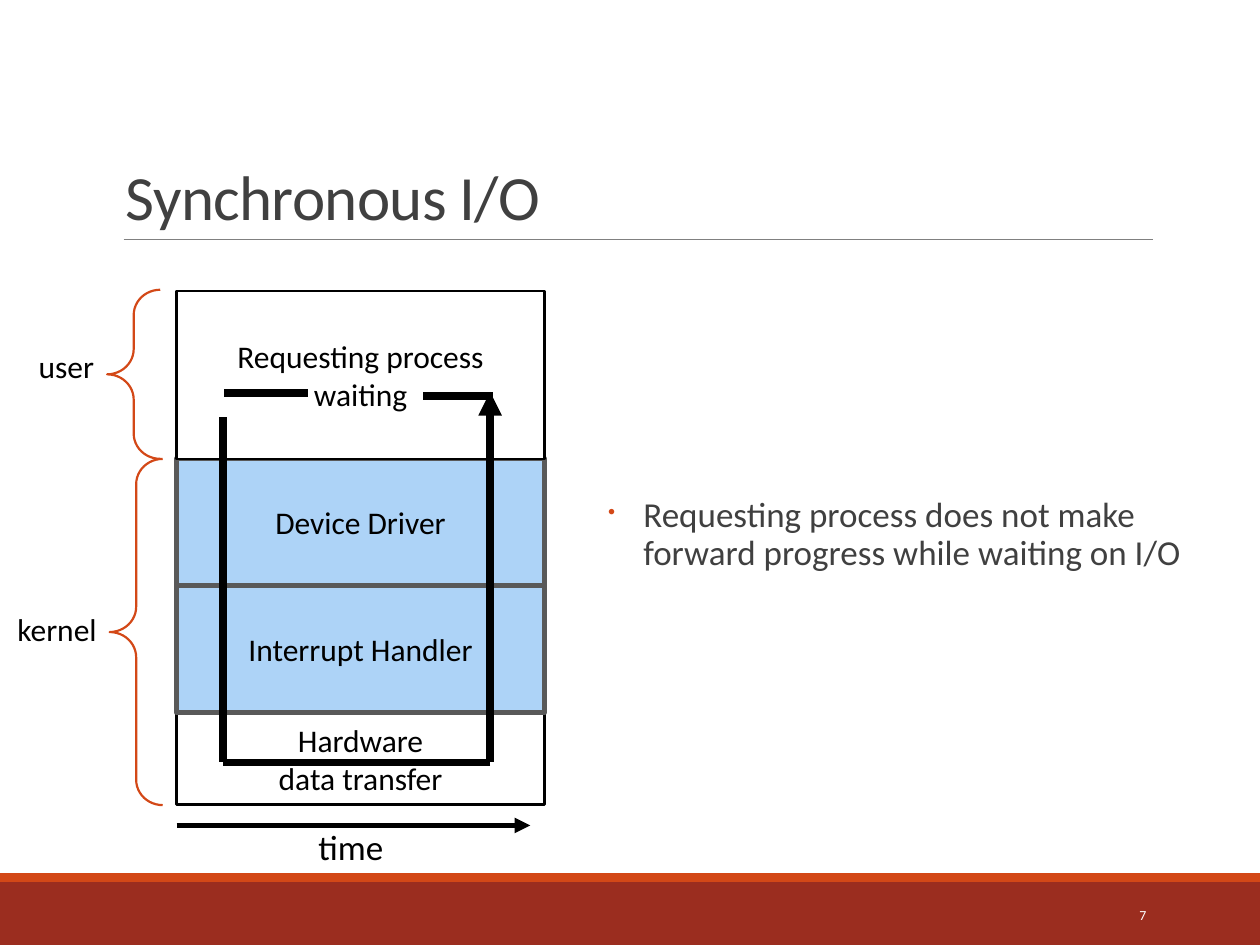
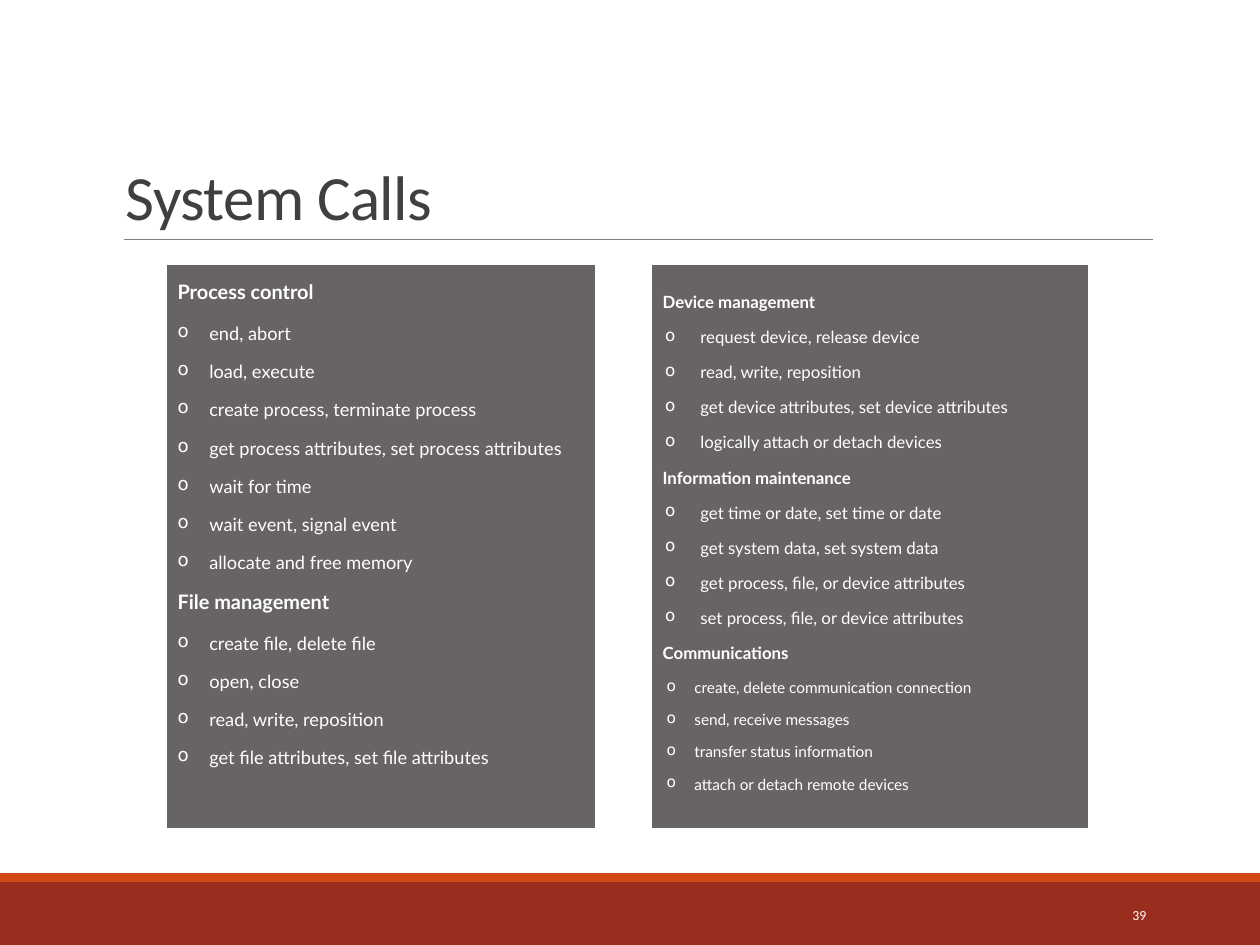
"""Build two operating-system slides: synchronous I/O and system calls."""
from dataclasses import dataclass
from lxml.etree import SubElement
from pptx import Presentation
from pptx.dml.color import RGBColor
from pptx.enum.shapes import MSO_CONNECTOR, MSO_SHAPE
from pptx.enum.text import MSO_ANCHOR, PP_ALIGN
from pptx.oxml.ns import qn
from pptx.util import Cm, Pt


@dataclass(frozen=True)
class Theme:
    """Colours, fonts and type sizes."""
    band: str = "9B2D1F"
    accent: str = "D34817"
    rule: str = "808080"
    text: str = "404040"
    black: str = "000000"
    white: str = "FFFFFF"
    panel: str = "696464"
    kernel_fill: str = "ADD3F7"
    kernel_line: str = "595959"
    font: str = "Calibri"
    panel_font: str = "Lato"
    title_size: float = 36
    body_size: float = 20
    label_size: float = 18
    number_size: float = 7.9


THEME = Theme()

SYNCHRONOUS = {"title": "Synchronous I/O", "number": "7"}
SYSTEM_CALLS = {"title": "System Calls", "number": "39"}
BODY = "Requesting process does not make forward progress while waiting on I/O"

STACK_LEFT, STACK_TOP, STACK_WIDTH = 3.56, 5.87, 7.42
LAYERS = [
    (["Requesting process", "waiting"], 3.38, False),
    (["Device Driver"], 2.56, True),
    (["Interrupt Handler"], 2.56, True),
    (["Hardware", "data transfer"], 1.85, False),
]
BRACES = [(2.16, 5.84, 3.41), (2.21, 9.25, 6.98)]
LABELS = [
    ("user", (0.53, 6.88, 1.73, 1.02), THEME.label_size),
    ("kernel", (0.1, 12.17, 2.29, 1.02), THEME.label_size),
    ("time", (6.17, 16.51, 1.88, 1.09), THEME.body_size),
]
FLOW = [
    ((4.52, 7.92), (6.2, 7.92), 4.5, False),
    ((8.53, 7.98), (9.93, 7.98), 4.5, False),
    ((4.5, 8.41), (4.5, 15.37), 4.5, False),
    ((9.88, 15.37), (4.5, 15.37), 4.5, False),
    ((9.88, 15.37), (9.88, 7.9), 4.5, True),
    ((3.56, 16.64), (10.69, 16.64), 3, True),
]

PANEL_TOP, PANEL_HEIGHT = 5.31, 11.43
PROCESS_STYLE = {"size": 10.4, "pitch": 21.8, "first_gap": 1.3, "indent": (0.64, 0.64)}
DEVICE_STYLE = {"size": 9.6, "pitch": 20, "first_gap": 0, "indent": (0.76, 0.71)}
MESSAGE_STYLE = {"size": 8.8, "pitch": 18.3, "first_gap": 1.4, "indent": (0.64, 0.56)}
PANELS = [
    {"left": 3.33, "width": 8.71, "inset": 0, "heading": (11.4, 23.1), "groups": [
        ("Process control", PROCESS_STYLE, [
            "end, abort",
            "load, execute",
            "create process, terminate process",
            "get process attributes, set process attributes",
            "wait for time",
            "wait event, signal event",
            "allocate and free memory",
        ]),
        ("File management", PROCESS_STYLE, [
            "create ﬁle, delete ﬁle",
            "open, close",
            "read, write, reposition",
            "get ﬁle attributes, set ﬁle attributes",
        ]),
    ]},
    {"left": 13.11, "width": 8.86, "inset": 0.28, "heading": (9.6, 20), "groups": [
        ("Device management", DEVICE_STYLE, [
            "request device, release device",
            "read, write, reposition",
            "get device attributes, set device attributes",
            "logically attach or detach devices",
        ]),
        ("Information maintenance", DEVICE_STYLE, [
            "get time or date, set time or date",
            "get system data, set system data",
            "get process, ﬁle, or device attributes",
            "set process, ﬁle, or device attributes",
        ]),
        ("Communications", MESSAGE_STYLE, [
            "create, delete communication connection",
            "send, receive messages",
            "transfer status information",
            "attach or detach remote devices",
        ]),
    ]},
]


def colour(value):
    return RGBColor.from_string(value)


def add_box(page, area, fill=None, line=None, weight=1, kind=MSO_SHAPE.RECTANGLE):
    box = page.shapes.add_shape(kind, *map(Cm, area))
    box.shadow.inherit = False
    if fill:
        box.fill.solid()
        box.fill.fore_color.rgb = colour(fill)
    else:
        box.fill.background()
    if line:
        box.line.color.rgb = colour(line)
        box.line.width = Pt(weight)
    else:
        box.line.fill.background()
    return box


def add_line(page, start, end, line, weight, arrow=False):
    connector = page.shapes.add_connector(MSO_CONNECTOR.STRAIGHT, *map(Cm, start + end))
    connector.line.color.rgb = colour(line)
    connector.line.width = Pt(weight)
    if arrow:
        SubElement(connector.line._get_or_add_ln(), qn("a:tailEnd"), type="triangle")
    SubElement(connector._element.spPr, qn("a:effectLst"))


def add_text_box(page, area, anchor=MSO_ANCHOR.TOP, wrap=True):
    frame = page.shapes.add_textbox(*map(Cm, area)).text_frame
    frame.word_wrap = wrap
    frame.vertical_anchor = anchor
    return frame


def set_bullet(para, symbol, left, hanging, tint=None, percent=None):
    properties = para._p.get_or_add_pPr()
    properties.set("marL", str(Cm(left)))
    properties.set("indent", str(-Cm(hanging)))
    if tint:
        SubElement(SubElement(properties, qn("a:buClr")), qn("a:srgbClr"), val=tint)
    if percent:
        SubElement(properties, qn("a:buSzPct"), val=str(percent * 1000))
    SubElement(properties, qn("a:buChar"), char=symbol)


def write(frame, text, size, tint, align=PP_ALIGN.LEFT, font=THEME.font, bold=False,
          spacing=None, before=None, bullet=None):
    para = frame.paragraphs[0] if not frame.text else frame.add_paragraph()
    if bullet:
        set_bullet(para, *bullet)
    para.alignment = align
    para.line_spacing = spacing
    para.space_before = before
    para.font.name = font
    para.font.size = Pt(size)
    para.font.bold = bold
    para.font.color.rgb = colour(tint)
    span = para.add_run()
    span.text = text
    return span


def add_page(deck, title, number):
    page = deck.slides.add_slide(deck.slide_layouts[6])
    add_box(page, (0, 17.78, 25.4, 1.27), THEME.band)
    add_box(page, (0, 17.6, 25.4, 0.18), THEME.accent)
    add_line(page, (2.49, 4.83), (23.24, 4.83), THEME.rule, 0.5)
    frame = add_text_box(page, (2.29, 0.79, 20.96, 4.04), MSO_ANCHOR.BOTTOM)
    span = write(frame, title, THEME.title_size, THEME.text, spacing=0.85)
    span._r.get_or_add_rPr().set("spc", "-40")
    frame = add_text_box(page, (20.62, 17.93, 2.74, 1.02), MSO_ANCHOR.MIDDLE)
    write(frame, number, THEME.number_size, THEME.white, PP_ALIGN.RIGHT)
    return page


def add_layers(page):
    bottom = STACK_TOP + sum(height for _, height, _ in LAYERS)
    for lines, height, in_kernel in reversed(LAYERS):
        bottom -= height
        look = (THEME.kernel_fill, THEME.kernel_line, 3) if in_kernel else (
            THEME.white, THEME.black, 1.25)
        box = add_box(page, (STACK_LEFT, bottom, STACK_WIDTH, height), *look)
        for text in lines:
            write(box.text_frame, text, THEME.label_size, THEME.black, PP_ALIGN.CENTER)


def build_synchronous(deck):
    page = add_page(deck, **SYNCHRONOUS)
    frame = add_text_box(page, (11.96, 5.08, 13.28, 11.43), MSO_ANCHOR.MIDDLE)
    write(frame, BODY, THEME.body_size, THEME.text, spacing=0.9, before=Pt(4),
          bullet=("•", 0.76, 0.71, THEME.accent, 60))
    add_layers(page)
    for left, top, height in BRACES:
        brace = add_box(page, (left, top, 1.07, height), None, THEME.accent, 1.25,
                        MSO_SHAPE.RIGHT_BRACE)
        brace.rotation = 180
        brace.adjustments[0] = 0.476
    for text, area, size in LABELS:
        write(add_text_box(page, area, wrap=False), text, size, THEME.black)
    for start, end, weight, arrow in FLOW:
        add_line(page, start, end, THEME.black, weight, arrow)


def add_panel(page, left, width, inset, heading, groups):
    box = add_box(page, (left, PANEL_TOP, width, PANEL_HEIGHT), THEME.panel, THEME.white, 2.25)
    frame = box.text_frame
    frame.word_wrap = True
    frame.vertical_anchor = MSO_ANCHOR.TOP
    frame.margin_top = Cm(inset)
    heading_size, heading_pitch = heading
    for name, style, calls in groups:
        write(frame, name, heading_size, THEME.white, font=THEME.panel_font, bold=True,
              spacing=Pt(heading_pitch))
        for index, call in enumerate(calls):
            write(frame, call, style["size"], THEME.white, font=THEME.panel_font,
                  spacing=Pt(style["pitch"]), before=Pt(0 if index else style["first_gap"]),
                  bullet=("o", *style["indent"]))


def build_system_calls(deck):
    page = add_page(deck, **SYSTEM_CALLS)
    for panel in PANELS:
        add_panel(page, **panel)


def main():
    deck = Presentation()
    deck.slide_width, deck.slide_height = Cm(25.4), Cm(19.05)
    build_synchronous(deck)
    build_system_calls(deck)
    deck.save("out.pptx")


if __name__ == "__main__":
    main()
